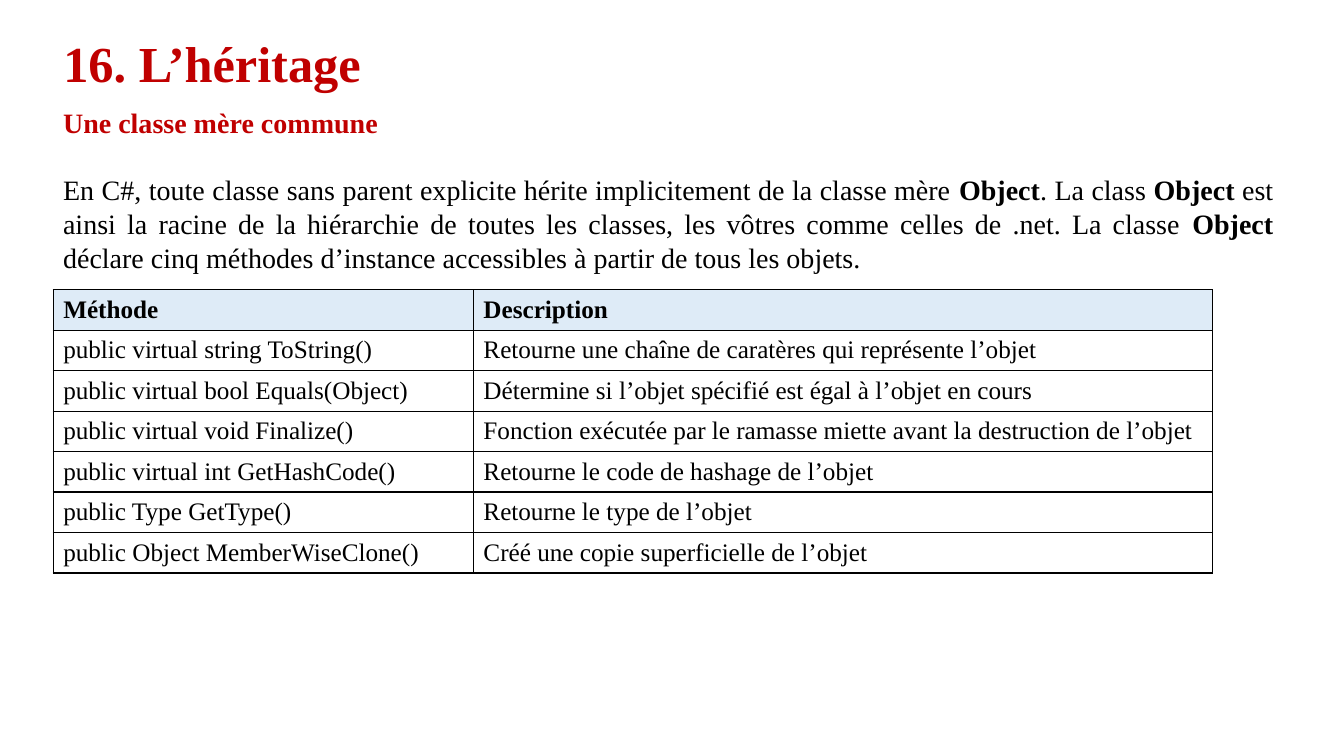
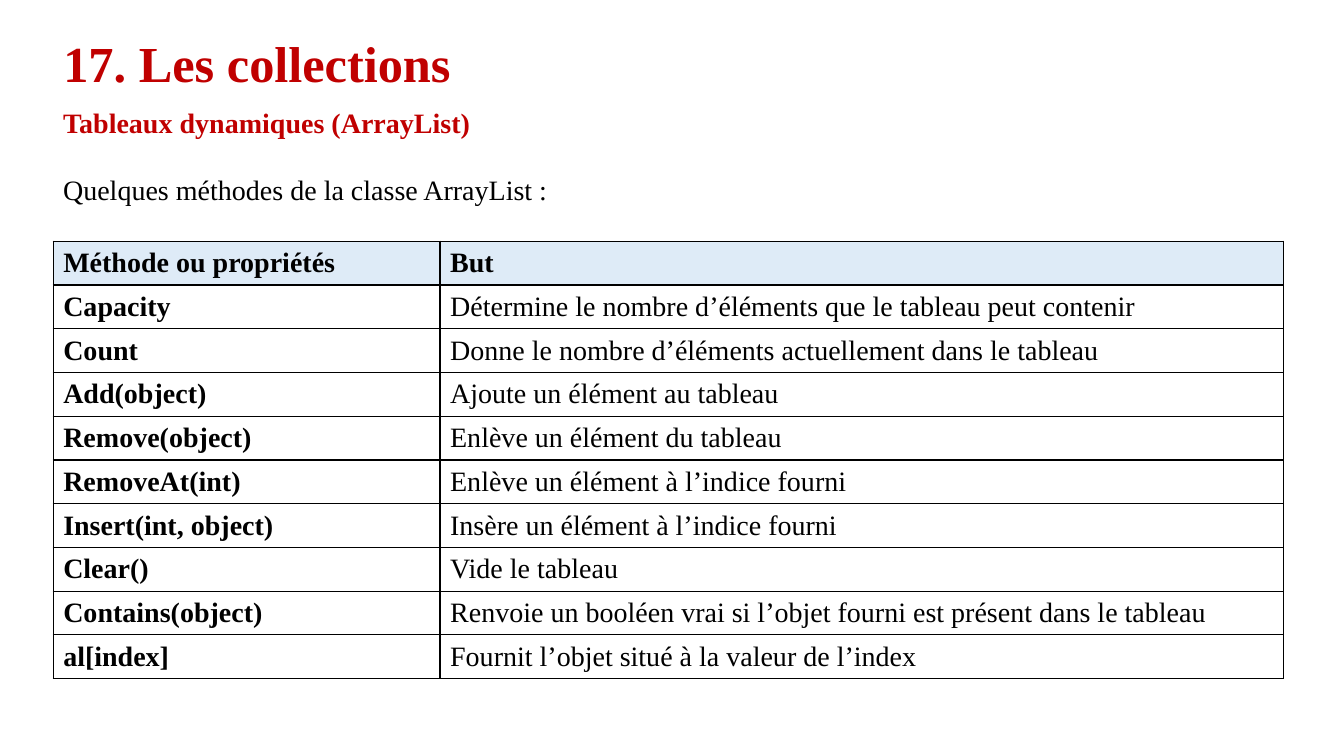
"""Build two course slides on C# inheritance and collections."""
from dataclasses import dataclass

from lxml import etree
from pptx import Presentation
from pptx.dml.color import RGBColor
from pptx.enum.text import MSO_ANCHOR, MSO_AUTO_SIZE, PP_ALIGN
from pptx.oxml.ns import qn
from pptx.util import Cm, Pt

MIDDLE = MSO_ANCHOR.MIDDLE
LEFT, JUSTIFY = PP_ALIGN.LEFT, PP_ALIGN.JUSTIFY
NO_FIT, GROW = MSO_AUTO_SIZE.NONE, MSO_AUTO_SIZE.SHAPE_TO_FIT_TEXT
TITLE_ONLY = 5
BORDER_SIDES = ("a:lnL", "a:lnR", "a:lnT", "a:lnB")


@dataclass(frozen=True)
class Theme:
    """Colours, type sizes and shared lengths."""
    font: str = "Times New Roman"
    accent: str = "C00000"
    ink: str = "000000"
    header_fill: str = "DEEBF7"
    title_size: int = 36
    text_size: int = 20
    title_spacing: float = 1.4
    paragraph_gap: int = 24
    border: int = 1
    left: float = 1.34


THEME = Theme()

LESSONS = [
    {
        "title": "16. L’héritage",
        "subtitle": "Une classe mère commune",
        "intro": "En C#, toute classe sans parent explicite hérite implicitement de la "
                 "classe mère *Object*. La class *Object* est ainsi la racine de la "
                 "hiérarchie de toutes les classes, les vôtres comme celles de .net. "
                 "La classe *Object* déclare cinq méthodes d’instance accessibles à "
                 "partir de tous les objets.",
        "grid": {"top": 7.3, "columns": (10.59, 18.62), "row": 1.02,
                 "size": 18, "bold_names": False},
        "rows": [
            ("Méthode", "Description"),
            ("public virtual string ToString()",
             "Retourne une chaîne de caratères qui représente l’objet"),
            ("public virtual bool Equals(Object)",
             "Détermine si l’objet spécifié est égal à l’objet en cours"),
            ("public virtual void Finalize()",
             "Fonction exécutée par le ramasse miette avant la destruction de l’objet"),
            ("public virtual int GetHashCode()", "Retourne le code de hashage de l’objet"),
            ("public Type GetType()", "Retourne le type de l’objet"),
            ("public Object MemberWiseClone()", "Créé une copie superficielle de l’objet"),
        ],
    },
    {
        "title": "17. Les collections",
        "subtitle": "Tableaux dynamiques (ArrayList)",
        "intro": "Quelques méthodes de la classe ArrayList :",
        "grid": {"top": 6.08, "columns": (9.75, 21.25), "row": 1.1,
                 "size": 20, "bold_names": True},
        "rows": [
            ("Méthode ou propriétés", "But"),
            ("Capacity", "Détermine le nombre d’éléments que le tableau peut contenir"),
            ("Count", "Donne le nombre d’éléments actuellement dans le tableau"),
            ("Add(object)", "Ajoute un élément au tableau"),
            ("Remove(object)", "Enlève un élément du tableau"),
            ("RemoveAt(int)", "Enlève un élément à l’indice fourni"),
            ("Insert(int, object)", "Insère un élément à l’indice fourni"),
            ("Clear()", "Vide le tableau"),
            ("Contains(object)",
             "Renvoie un booléen vrai si l’objet fourni est présent dans le tableau"),
            ("al[index]", "Fournit l’objet situé à la valeur de l’index"),
        ],
    },
]


def set_all(target, values):
    """Set every named attribute on the target."""
    for name, value in values.items():
        setattr(target, name, value)


def write(paragraph, text, size, color, bold=False):
    """Append a formatted run to a paragraph."""
    run = paragraph.add_run()
    run.text = text
    set_all(run.font, {"name": THEME.font, "size": Pt(size), "bold": bold})
    run.font.color.rgb = RGBColor.from_string(color)


def add_title(slide, text):
    """Place and format the title placeholder."""
    title = slide.shapes.title
    set_all(title, {"left": Cm(THEME.left), "top": Cm(0),
                    "width": Cm(26.16), "height": Cm(2.54)})
    set_all(title.text_frame, {"word_wrap": True, "auto_size": NO_FIT,
                               "vertical_anchor": MIDDLE})
    heading = title.text_frame.paragraphs[0]
    set_all(heading, {"alignment": LEFT, "line_spacing": THEME.title_spacing})
    write(heading, text, THEME.title_size, THEME.accent, True)


def add_introduction(slide, subtitle, intro):
    """Add the subtitle and the text below it, with starred words in bold."""
    box = slide.shapes.add_textbox(Cm(THEME.left), Cm(2.54), Cm(31), Cm(4.52))
    frame = box.text_frame
    set_all(frame, {"word_wrap": True, "auto_size": GROW})
    heading = frame.paragraphs[0]
    heading.alignment = JUSTIFY
    write(heading, subtitle, THEME.text_size, THEME.accent, True)
    body = frame.add_paragraph()
    set_all(body, {"alignment": JUSTIFY, "space_before": Pt(THEME.paragraph_gap)})
    for index, part in enumerate(intro.split("*")):
        write(body, part, THEME.text_size, THEME.ink, index % 2 == 1)


def draw_borders(cell):
    """Draw a thin line on each side of a cell."""
    properties = cell._tc.get_or_add_tcPr()
    for position, side in enumerate(BORDER_SIDES):
        line = etree.Element(qn(side), w=str(Pt(THEME.border)))
        fill = etree.SubElement(line, qn("a:solidFill"))
        etree.SubElement(fill, qn("a:srgbClr"), val=THEME.ink)
        properties.insert(position, line)


def add_method_table(slide, rows, grid):
    """Add the table of methods with a tinted header row."""
    columns = grid["columns"]
    table = slide.shapes.add_table(
        len(rows), len(columns), Cm(THEME.left), Cm(grid["top"]),
        Cm(sum(columns)), Cm(grid["row"] * len(rows))).table
    set_all(table, {"first_row": False, "horz_banding": False})
    for column, width in zip(table.columns, columns):
        column.width = Cm(width)
    for row_index, texts in enumerate(rows):
        table.rows[row_index].height = Cm(grid["row"])
        is_header = row_index == 0
        for column_index, text in enumerate(texts):
            cell = table.cell(row_index, column_index)
            cell.vertical_anchor = MIDDLE
            if is_header:
                cell.fill.solid()
                cell.fill.fore_color.rgb = RGBColor.from_string(THEME.header_fill)
            else:
                cell.fill.background()
            draw_borders(cell)
            bold = is_header or (grid["bold_names"] and column_index == 0)
            write(cell.text_frame.paragraphs[0], text, grid["size"], THEME.ink, bold)


def main():
    """Build and save the presentation."""
    deck = Presentation()
    set_all(deck, {"slide_width": Cm(33.87), "slide_height": Cm(19.05)})
    for lesson in LESSONS:
        slide = deck.slides.add_slide(deck.slide_layouts[TITLE_ONLY])
        add_title(slide, lesson["title"])
        add_introduction(slide, lesson["subtitle"], lesson["intro"])
        add_method_table(slide, lesson["rows"], lesson["grid"])
    deck.save("out.pptx")


if __name__ == "__main__":
    main()
